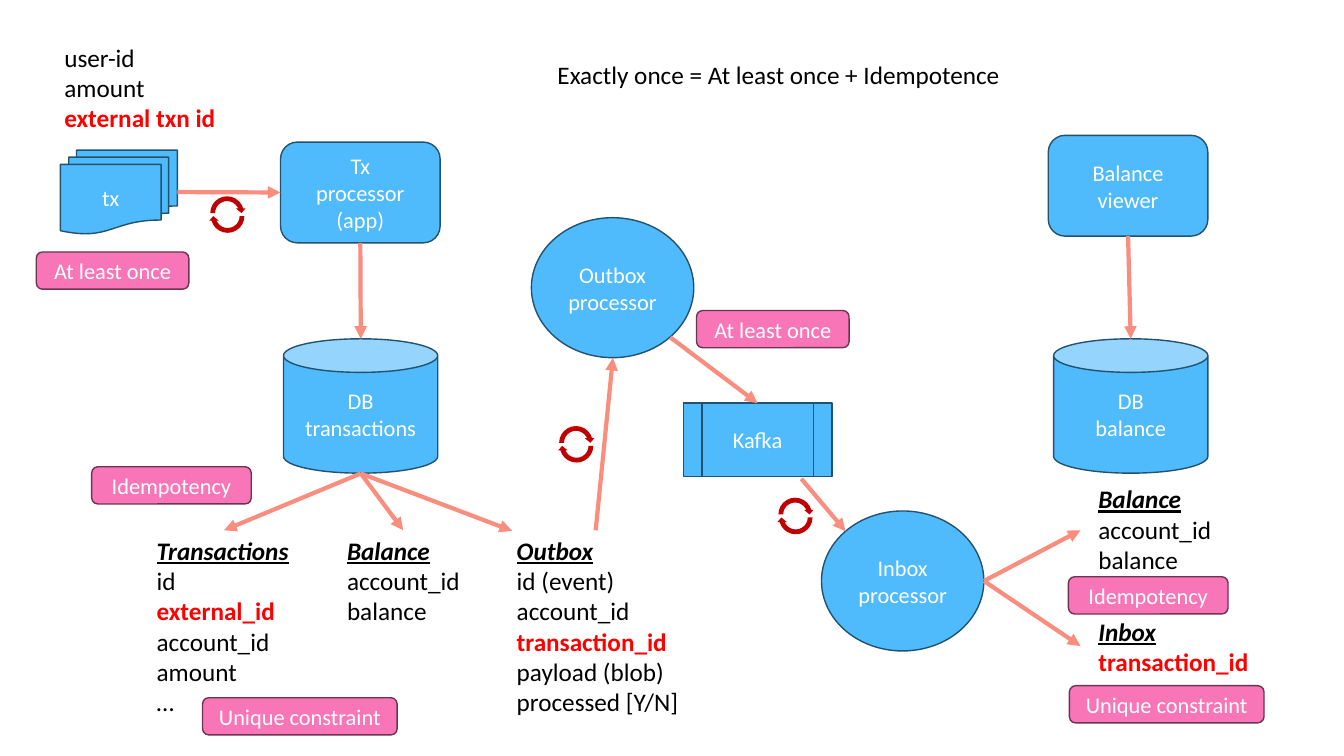
from lxml import etree
from pptx import Presentation
from pptx.dml.color import RGBColor
from pptx.enum import shapes, text
from pptx.oxml import ns
from pptx.util import Pt

BLUE = RGBColor(0x4F, 0xBA, 0xFC)
BLUE_EDGE = RGBColor(0x23, 0x52, 0x6E)
PINK = RGBColor(0xF8, 0x76, 0xB8)
PINK_EDGE = RGBColor(0x6D, 0x34, 0x51)
CORAL = RGBColor(0xF9, 0x8D, 0x7E)
DARK_RED = RGBColor(0xC0, 0x00, 0x00)
RED = RGBColor(0xFF, 0x00, 0x00)
BLACK = RGBColor(0x00, 0x00, 0x00)
WHITE = RGBColor(0xFF, 0xFF, 0xFF)

KIND = shapes.MSO_SHAPE
TOP, LEFT, BOTTOM, RIGHT = range(4)


class Diagram:
    font = "Calibri"
    label_size = 16
    text_size = 18
    line_height = 21.9
    tag_height = 26.6
    retry_size = 27.4

    def __init__(self, slide):
        self.slide = slide

    def set_text(self, shape, lines, size, color, alignment):
        shape.text_frame.text = lines
        for paragraph in shape.text_frame.paragraphs:
            paragraph.alignment = alignment
            for run in paragraph.runs:
                run.font.name = self.font
                run.font.size = Pt(size)
                run.font.color.rgb = color

    def title(self, words, left, top, width, height):
        shape = self.slide.shapes.title
        shape.left, shape.top = Pt(left), Pt(top)
        shape.width, shape.height = Pt(width), Pt(height)
        self.set_text(shape, words, self.text_size, BLACK, text.PP_ALIGN.LEFT)
        frame = shape.text_frame
        frame.vertical_anchor = text.MSO_ANCHOR.TOP
        frame.auto_size = text.MSO_AUTO_SIZE.NONE
        frame.word_wrap = False

    def node(self, kind, label, left, top, width, height, fill=BLUE, edge=BLUE_EDGE):
        shape = self.slide.shapes.add_shape(kind, Pt(left), Pt(top), Pt(width), Pt(height))
        shape.shadow.inherit = False
        shape.fill.solid()
        shape.fill.fore_color.rgb = fill
        shape.line.color.rgb = edge
        shape.line.width = Pt(1)
        self.set_text(shape, label, self.label_size, WHITE, text.PP_ALIGN.CENTER)
        shape.text_frame.vertical_anchor = text.MSO_ANCHOR.MIDDLE
        return shape

    def tag(self, label, left, top, width):
        self.node(KIND.ROUNDED_RECTANGLE, label, left, top, width, self.tag_height, PINK, PINK_EDGE)

    def fields(self, lines, left, top, width, key, has_heading=True):
        height = 7.2 + self.line_height * len(lines)
        box = self.slide.shapes.add_textbox(Pt(left), Pt(top), Pt(width), Pt(height))
        self.set_text(box, "\n".join(lines), self.text_size, BLACK, text.PP_ALIGN.LEFT)
        box.text_frame.word_wrap = False
        box.text_frame.auto_size = text.MSO_AUTO_SIZE.SHAPE_TO_FIT_TEXT
        for index, paragraph in enumerate(box.text_frame.paragraphs):
            font = paragraph.runs[0].font
            if index == 0 and has_heading:
                font.bold = font.italic = font.underline = True
            if lines[index] == key:
                font.bold = True
                font.color.rgb = RED

    def arrow(self, start, end, source=None, target=None):
        """Draw an arrow; source and target are (shape, side) joints."""
        connector = self.slide.shapes.add_connector(
            shapes.MSO_CONNECTOR.STRAIGHT, *(Pt(value) for value in (*start, *end)))
        if source:
            connector.begin_connect(*source)
        if target:
            connector.end_connect(*target)
        connector.line.color.rgb = CORAL
        connector.line.width = Pt(3)
        properties = connector._element.spPr
        outline = properties.find(ns.qn("a:ln"))
        etree.SubElement(outline, ns.qn("a:tailEnd"), type="triangle")
        etree.SubElement(properties, ns.qn("a:effectLst"))

    def retry(self, left, top):
        group = self.slide.shapes.add_group_shape()
        size = Pt(self.retry_size)
        for shift_x, shift_y, rotation in ((0, 0, 0), (0.4, 2.1, 180)):
            half = group.shapes.add_shape(
                KIND.CIRCULAR_ARROW, Pt(left + shift_x), Pt(top + shift_y), size, size)
            half.rotation = rotation
            half.shadow.inherit = False
            half.fill.solid()
            half.fill.fore_color.rgb = DARK_RED
            half.line.fill.background()


def main():
    presentation = Presentation()
    presentation.slide_width, presentation.slide_height = Pt(960), Pt(540)
    slide = presentation.slides.add_slide(presentation.slide_layouts[5])
    diagram = Diagram(slide)
    diagram.title("Exactly once = At least once + Idempotence", 391, 38.9, 334, 29)

    # Processing nodes
    incoming = diagram.node(KIND.FLOWCHART_MULTIDOCUMENT, "tx", 43.2, 107.3, 83.5, 59.8)
    app = diagram.node(KIND.ROUNDED_RECTANGLE, "Tx\nprocessor\n(app)", 200.4, 101.5, 114, 72)
    viewer = diagram.node(KIND.ROUNDED_RECTANGLE, "Balance\nviewer", 748.8, 96.7, 114, 72)
    diagram.node(KIND.CAN, "DB\ntransactions", 202.5, 242, 110.2, 96)
    diagram.node(KIND.CAN, "DB\nbalance", 752.6, 242, 110.2, 96)
    diagram.node(KIND.OVAL, "Outbox\nprocessor", 379.6, 155.5, 116, 100)
    diagram.node(KIND.OVAL, "Inbox\nprocessor", 586.8, 365, 116, 100)
    queue = diagram.node(KIND.FLOWCHART_PREDEFINED_PROCESS, "Kafka", 488.2, 288, 106, 52.5)

    # Arrows
    diagram.arrow((126.7, 137.5), (200.4, 137.5), (incoming, RIGHT), (app, LEFT))
    diagram.arrow((257.4, 173.5), (257.7, 242), source=(app, BOTTOM))
    diagram.arrow((805.8, 168.7), (807.7, 242), source=(viewer, BOTTOM))
    for end in ((160, 378.8), (288, 378.8), (365.8, 379.2)):
        diagram.arrow((257.7, 338.2), end)
    diagram.arrow((425.5, 378.8), (437.8, 255.6))
    diagram.arrow((478.8, 241), (541.2, 288), target=(queue, TOP))
    diagram.arrow((572.4, 342), (604, 379.4))
    for end in ((771.8, 378.8), (771.8, 461.5)):
        diagram.arrow((702.8, 415), end)

    # Record fields
    diagram.fields(["user-id", "amount", "external txn id"], 38.9, 26.6, 123,
                   "external txn id", has_heading=False)
    diagram.fields(["Transactions", "id", "external_id", "account_id", "amount", "…"],
                   104.8, 378.8, 110, "external_id")
    balance_lines = ["Balance", "account_id", "balance"]
    for left, top in ((240.8, 378.8), (777.5, 342)):
        diagram.fields(balance_lines, left, top, 96, None)
    diagram.fields(["Outbox", "id (event)", "account_id", "transaction_id",
                    "payload (blob)", "processed [Y/N]"], 362, 378.8, 131, "transaction_id")
    diagram.fields(["Inbox", "transaction_id"], 777.5, 436.5, 122, "transaction_id")

    # Guarantee tags
    tags = {
        ("At least once", 109): ((25.9, 180), (497.5, 221.8)),
        ("Idempotency", 114): ((65.5, 333.4), (763.2, 412)),
        ("Unique constraint", 139): ((144.7, 498.4), (763.9, 489.8)),
    }
    for (label, width), places in tags.items():
        for left, top in places:
            diagram.tag(label, left, top, width)

    # Retry marks
    for left, top in ((148.5, 138.5), (397.7, 302.6), (554.3, 353.8)):
        diagram.retry(left, top)

    presentation.save("out.pptx")


if __name__ == "__main__":
    main()
